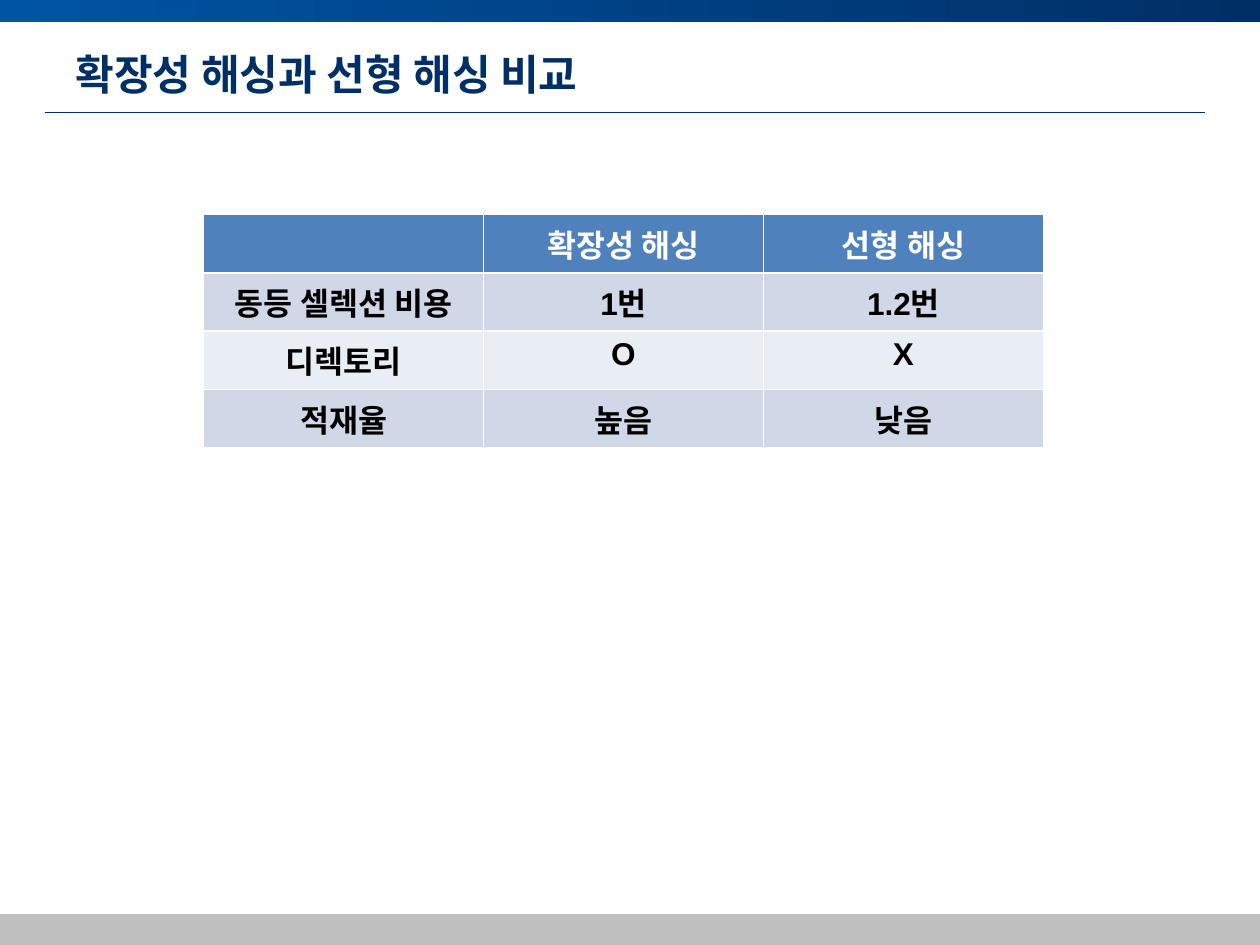
import pptx
import pptx.dml.color
import pptx.enum.shapes
import pptx.enum.text
import pptx.oxml
import pptx.oxml.ns
import pptx.util

Pt = pptx.util.Pt
COLOURS = {
    "blue": "0054A4", "navy": "002F65", "grey": "BFBFBF", "header": "4F81BD",
    "odd": "D0D8E8", "even": "E9EDF4", "white": "FFFFFF", "black": "000000",
}
KOREAN = "Noto Sans CJK KR"
ROWS = [
    ["", "확장성 해싱", "선형 해싱"],
    ["동등 셀렉션 비용", "1번", "1.2번"],
    ["디렉토리", "O", "X"],
    ["적재율", "높음", "낮음"],
]


def colour(name):
    """Return the named colour."""
    return pptx.dml.color.RGBColor.from_string(COLOURS[name])


def add_span(para, text, size, font, colour_name):
    """Add one bold run to a paragraph."""
    span = para.add_run()
    span.text = text
    span.font.size = Pt(size)
    span.font.bold = True
    span.font.name = font
    span.font.color.rgb = colour(colour_name)
    east_asian = pptx.oxml.parse_xml(
        f'<a:ea {pptx.oxml.ns.nsdecls("a")} typeface="{KOREAN}"/>')
    span.font._element.find(pptx.oxml.ns.qn("a:latin")).addnext(east_asian)


def add_band(page, left, top, width, height, *names):
    """Draw a band in one colour, or in a gradient between two."""
    band = page.shapes.add_shape(
        pptx.enum.shapes.MSO_SHAPE.RECTANGLE, Pt(left), Pt(top), Pt(width), Pt(height))
    band.shadow.inherit = False
    band.line.fill.background()
    if len(names) == 1:
        band.fill.solid()
        band.fill.fore_color.rgb = colour(names[0])
    else:
        band.fill.gradient()
        band.fill.gradient_angle = 0
        for stop, name, position in zip(band.fill.gradient_stops, names, (0, 1)):
            stop.color.rgb = colour(name)
            stop.position = position


def add_rule(page, left, top, width):
    """Draw the thin rule below the title."""
    rule = page.shapes.add_connector(
        pptx.enum.shapes.MSO_CONNECTOR.STRAIGHT, Pt(left), Pt(top), Pt(left + width), Pt(top))
    rule.line.color.rgb = colour("navy")
    rule.line.width = Pt(0.5)
    rule._element.spPr.append(
        pptx.oxml.parse_xml(f'<a:effectLst {pptx.oxml.ns.nsdecls("a")}/>'))


def set_title(page, text, left, top, width, height):
    """Place and fill the title placeholder."""
    box = page.shapes.title
    box.left, box.top, box.width, box.height = map(Pt, (left, top, width, height))
    frame = box.text_frame
    frame.auto_size = pptx.enum.text.MSO_AUTO_SIZE.NONE
    frame.vertical_anchor = pptx.enum.text.MSO_ANCHOR.MIDDLE
    para = frame.paragraphs[0]
    para.alignment = pptx.enum.text.PP_ALIGN.LEFT
    add_span(para, text, 24, KOREAN, "navy")


def add_comparison(page, rows, left, top, width, height):
    """Add the comparison table with a header and banded rows."""
    table = page.shapes.add_table(
        len(rows), len(rows[0]), Pt(left), Pt(top), Pt(width), Pt(height)).table
    for row_index, row in enumerate(rows):
        fill = "header" if row_index == 0 else ("even", "odd")[row_index % 2]
        for column_index, text in enumerate(row):
            cell = table.cell(row_index, column_index)
            cell.fill.solid()
            cell.fill.fore_color.rgb = colour(fill)
            para = cell.text_frame.paragraphs[0]
            para.alignment = pptx.enum.text.PP_ALIGN.CENTER
            if text:
                add_span(para, text, 18, "Arial", "black" if row_index else "white")


def main():
    """Build and save the deck."""
    deck = pptx.Presentation()
    deck.slide_width, deck.slide_height = Pt(720), Pt(540)
    page = deck.slides.add_slide(deck.slide_layouts[5])
    add_band(page, 0, 0, 720, 12.4, "blue", "navy")
    add_band(page, 0, 522.4, 720, 17.6, "grey")
    add_rule(page, 25.5, 64.1, 663.2)
    set_title(page, "확장성 해싱과 선형 해싱 비교", 36, 21.3, 648, 42)
    add_comparison(page, ROWS, 116.3, 122.6, 480, 116.8)
    deck.save("out.pptx")


if __name__ == "__main__":
    main()
